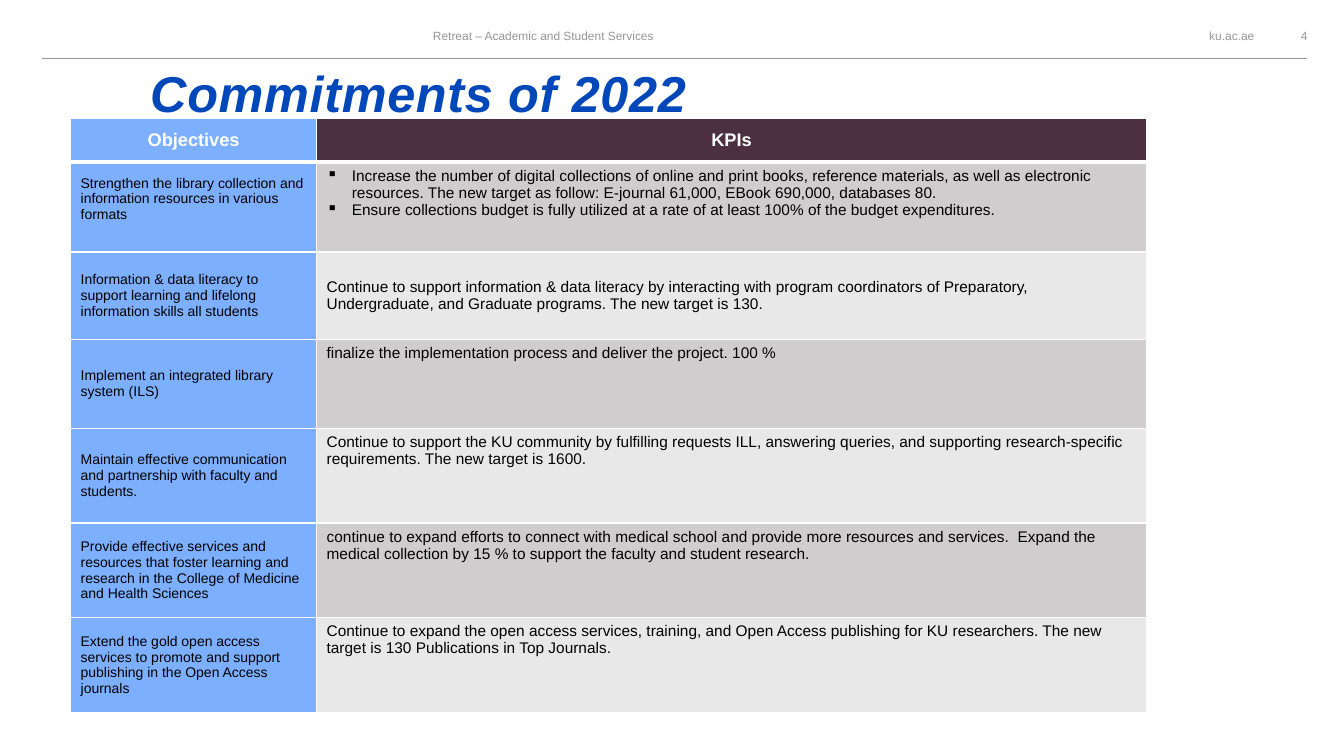
from dataclasses import dataclass

import lxml.etree
import pptx
import pptx.dml.color
import pptx.enum.shapes
import pptx.enum.text
import pptx.oxml.ns
import pptx.util

Inches = pptx.util.Inches
Align = pptx.enum.text.PP_ALIGN
Anchor = pptx.enum.text.MSO_ANCHOR
qn = pptx.oxml.ns.qn


@dataclass(frozen=True)
class Theme:
    font: str = "Arial"
    title: str = "0047BA"
    muted: str = "96969A"
    white: str = "FFFFFF"
    black: str = "000000"
    objective: str = "7DAFFF"
    kpi_header: str = "4C3041"
    bands: tuple[str, str] = ("D0CDCF", "E9E8E9")
    title_size: float = 36
    header_size: float = 13
    objective_size: float = 10
    kpi_size: float = 11
    running_size: float = 8.5


@dataclass(frozen=True)
class Label:
    text: str
    left: float
    top: float
    width: float
    height: float
    size: float
    color: str
    align: Align = Align.CENTER
    anchor: Anchor = Anchor.MIDDLE
    emphasis: bool = False
    spacing: float = 0


@dataclass(frozen=True)
class Commitment:
    objective: str
    kpis: tuple[str, ...]
    height: float
    kpi_anchor: Anchor = Anchor.TOP
    objective_bottom: float = 0.05


@dataclass(frozen=True)
class CellStyle:
    fill: str
    size: float
    color: str
    bold: bool = False
    align: Align = Align.LEFT
    anchor: Anchor = Anchor.MIDDLE
    bottom_margin: float = 0.05
    bottom_border: float = 1


THEME = Theme()

LABELS = [
    Label("ku.ac.ae", 11.39, 0.22, 1.05, 0.27, THEME.running_size, THEME.muted, Align.RIGHT),
    Label("Commitments of 2022", 1.49, 0, 9.81, 1.22, THEME.title_size, THEME.title,
          Align.LEFT, Anchor.BOTTOM, True, 0.5),
    Label("4", 12.65, 0.22, 0.57, 0.27, THEME.running_size, THEME.muted),
    Label("Retreat – Academic and Student Services", 3.14, 0.22, 4.5, 0.27,
          THEME.running_size, THEME.muted),
]

COMMITMENTS = [
    Commitment(
        "Strengthen the library collection and information resources in various formats",
        ("Increase the number of digital collections of online and print books, reference "
         "materials, as well as electronic resources. The new target as follow: "
         "E-journal 61,000, EBook 690,000, databases 80.",
         "Ensure collections budget is fully utilized at a rate of at least 100% of the "
         "budget expenditures."),
        0.89, objective_bottom=0.21),
    Commitment(
        "Information & data literacy to support learning and lifelong information skills "
        "all students",
        ("Continue to support information & data literacy by interacting with program "
         "coordinators of Preparatory, Undergraduate, and Graduate programs. "
         "The new target is 130.",),
        0.87, Anchor.MIDDLE),
    Commitment(
        "Implement an integrated library system (ILS)",
        ("finalize the implementation process and deliver the project. 100 %",),
        0.88),
    Commitment(
        "Maintain effective communication and partnership with faculty and students.",
        ("Continue to support the KU community by fulfilling requests ILL, answering "
         "queries, and supporting research‐specific requirements. The new target is 1600.",),
        0.94),
    Commitment(
        "Provide effective services and resources that foster learning and research in the "
        "College of Medicine and Health Sciences",
        ("continue to expand efforts to connect with medical school and provide more "
         "resources and services.  Expand the medical collection by 15 % to support the "
         "faculty and student research.",),
        0.94),
    Commitment(
        "Extend the gold open access services to promote and support publishing in the "
        "Open Access journals",
        ("Continue to expand the open access services, training, and Open Access publishing "
         "for KU researchers. The new target is 130 Publications in Top Journals.",),
        0.94),
]


def rgb(color: str) -> pptx.dml.color.RGBColor:
    return pptx.dml.color.RGBColor.from_string(color)


def style_font(font: pptx.text.text.Font, size: float, color: str, bold: bool) -> None:
    font.name = THEME.font
    font.size = pptx.util.Pt(size)
    font.bold = bold
    font.color.rgb = rgb(color)


def add_label(slide: pptx.slide.Slide, label: Label) -> None:
    box = slide.shapes.add_textbox(
        *map(Inches, (label.left, label.top, label.width, label.height)))
    frame = box.text_frame
    frame.word_wrap = True
    frame.margin_left = frame.margin_right = frame.margin_top = frame.margin_bottom = 0
    frame.vertical_anchor = label.anchor
    frame.text = label.text
    paragraph = frame.paragraphs[0]
    paragraph.alignment = label.align
    for run in paragraph.runs:
        style_font(run.font, label.size, label.color, label.emphasis)
        run.font.italic = label.emphasis
        if label.spacing:
            run._r.get_or_add_rPr().set("spc", str(round(label.spacing * 100)))


def add_header_rule(slide: pptx.slide.Slide) -> None:
    rule = slide.shapes.add_connector(
        pptx.enum.shapes.MSO_CONNECTOR.STRAIGHT, *map(Inches, (0.42, 0.58, 12.96, 0.58)))
    rule.line.color.rgb = rgb(THEME.muted)
    rule.line.width = pptx.util.Pt(0.75)
    lxml.etree.SubElement(rule._element.spPr, qn("a:effectLst"))


def add_bullet(paragraph: pptx.text.text._Paragraph) -> None:
    properties = paragraph._p.get_or_add_pPr()
    properties.set("marL", str(Inches(0.25)))
    properties.set("indent", str(-Inches(0.25)))
    lxml.etree.SubElement(properties, qn("a:buChar"), char="▪")


def set_borders(cell: pptx.table._Cell, bottom: float) -> None:
    properties = cell._tc.get_or_add_tcPr()
    for side, width in (("L", 1), ("R", 1), ("T", 1), ("B", bottom)):
        border = lxml.etree.SubElement(
            properties, qn(f"a:ln{side}"), w=str(pptx.util.Pt(width)))
        fill = lxml.etree.SubElement(border, qn("a:solidFill"))
        lxml.etree.SubElement(fill, qn("a:srgbClr"), val=THEME.white)


def fill_cell(cell: pptx.table._Cell, texts: tuple[str, ...], style: CellStyle) -> None:
    set_borders(cell, style.bottom_border)
    cell.fill.solid()
    cell.fill.fore_color.rgb = rgb(style.fill)
    cell.vertical_anchor = style.anchor
    cell.margin_bottom = Inches(style.bottom_margin)
    cell.text_frame.text = "\n".join(texts)
    for paragraph in cell.text_frame.paragraphs:
        paragraph.alignment = style.align
        if len(texts) > 1:
            add_bullet(paragraph)
        for run in paragraph.runs:
            style_font(run.font, style.size, style.color, style.bold)


def add_commitments(slide: pptx.slide.Slide) -> None:
    heights = [0.44, *(commitment.height for commitment in COMMITMENTS)]
    table = slide.shapes.add_table(
        len(heights), 2, *map(Inches, (0.7, 1.17, 10.67, sum(heights)))).table
    table.horz_banding = False
    for column, width in zip(table.columns, (2.44, 8.23)):
        column.width = Inches(width)
    for row, height in zip(table.rows, heights):
        row.height = Inches(height)
    headers = (("Objectives", THEME.objective), ("KPIs", THEME.kpi_header))
    for column, (heading, color) in enumerate(headers):
        fill_cell(table.cell(0, column), (heading,), CellStyle(
            color, THEME.header_size, THEME.white, True, Align.CENTER, bottom_border=3))
    for index, commitment in enumerate(COMMITMENTS):
        fill_cell(table.cell(index + 1, 0), (commitment.objective,), CellStyle(
            THEME.objective, THEME.objective_size, THEME.black,
            bottom_margin=commitment.objective_bottom))
        fill_cell(table.cell(index + 1, 1), commitment.kpis, CellStyle(
            THEME.bands[index % 2], THEME.kpi_size, THEME.black,
            anchor=commitment.kpi_anchor))


def main() -> None:
    presentation = pptx.Presentation()
    presentation.slide_width = Inches(13.33)
    presentation.slide_height = Inches(7.5)
    slide = presentation.slides.add_slide(presentation.slide_layouts[6])
    add_header_rule(slide)
    for label in LABELS:
        add_label(slide, label)
    add_commitments(slide)
    presentation.save("out.pptx")


if __name__ == "__main__":
    main()
